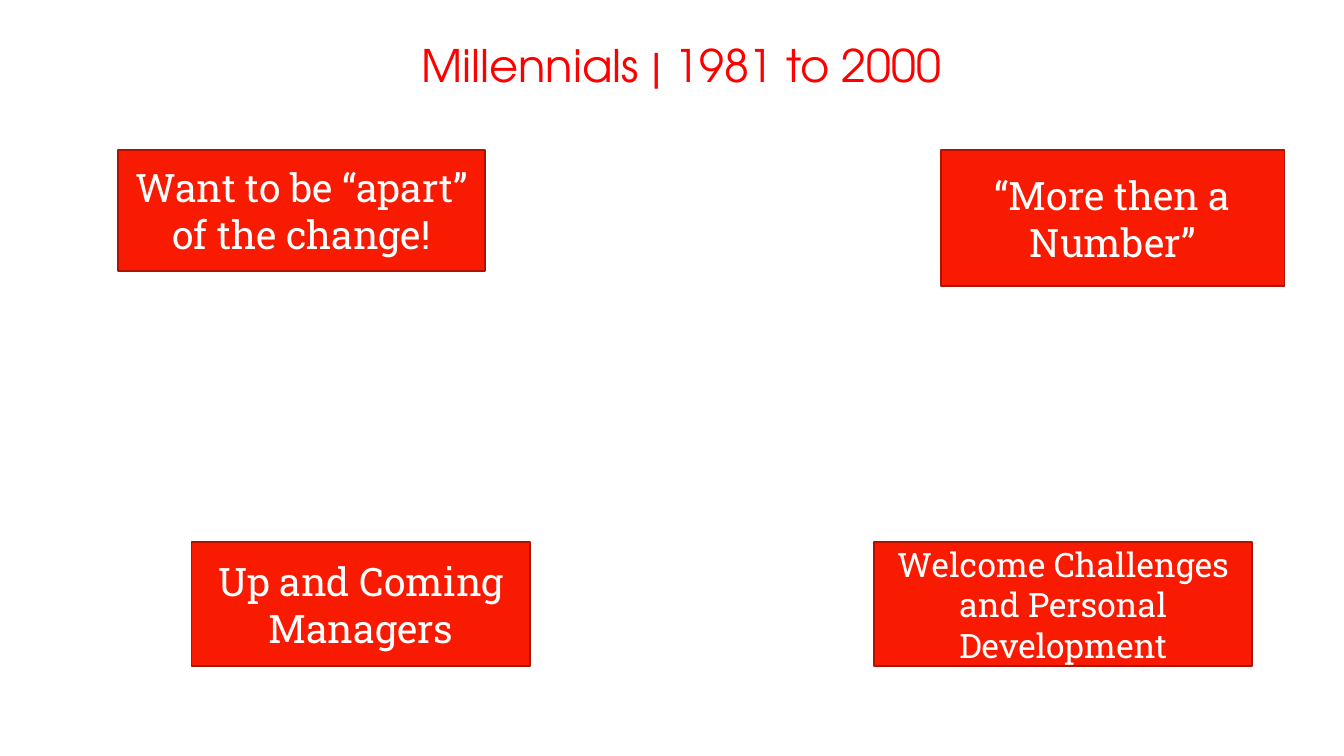
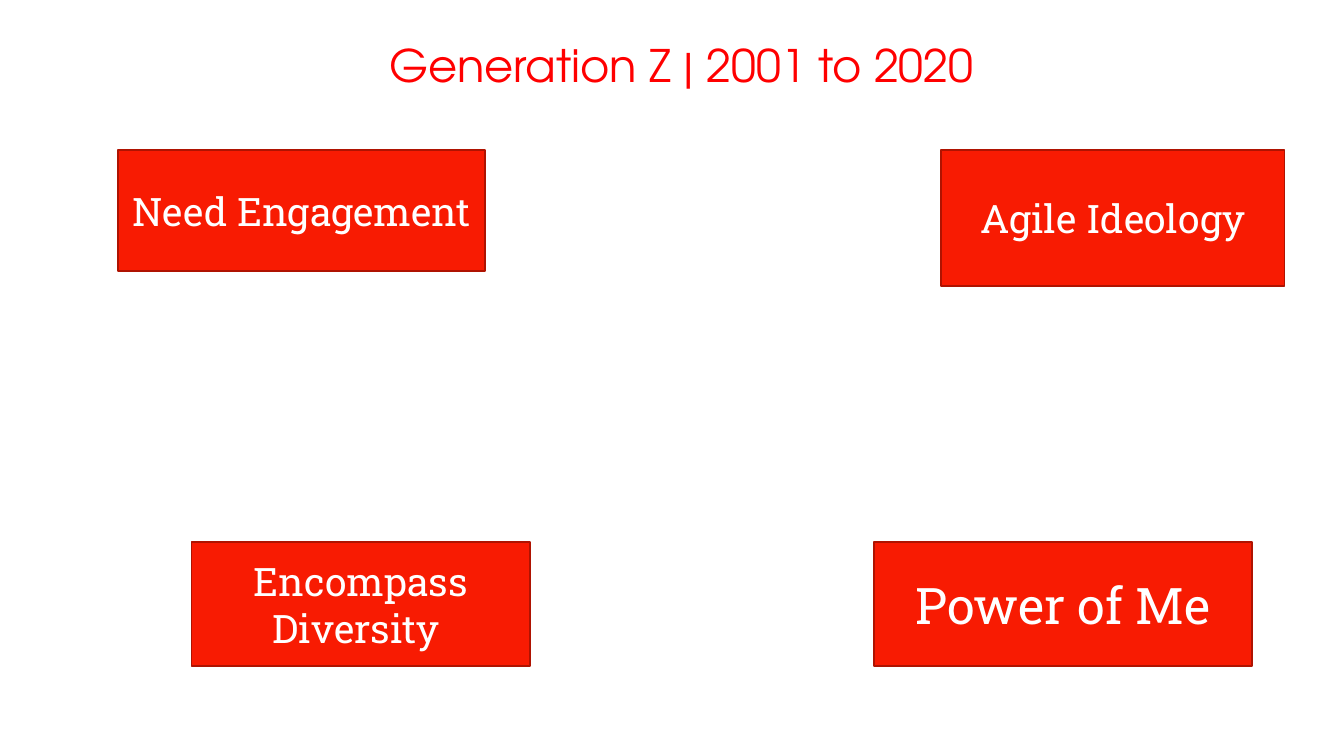
from pptx import Presentation
from pptx.dml.color import RGBColor
from pptx.enum.shapes import MSO_SHAPE
from pptx.enum.text import MSO_ANCHOR, MSO_AUTO_SIZE, PP_ALIGN
from pptx.util import Inches, Pt

RECTANGLE = MSO_SHAPE.RECTANGLE
MIDDLE = MSO_ANCHOR.MIDDLE
GROW = MSO_AUTO_SIZE.SHAPE_TO_FIT_TEXT
CENTER = PP_ALIGN.CENTER

COLORS = {name: RGBColor.from_string(value) for name, value in {
    "title": "FF0000",
    "card": "F81B02",
    "border": "AF1301",
    "card_text": "FFFFFF",
}.items()}

TITLE_FONT = {"name": "TeX Gyre Adventor", "size": Pt(32)}
CARD_FONT = {"name": "Roboto Slab"}

TITLE_BOX = (0.19, 0.33, 13.14, 0.64)
TOP_ROW, BOTTOM_ROW = 1.49, 5.38
CARD_BOXES = [
    (1.17, TOP_ROW, 3.64, 1.2),
    (8.67, BOTTOM_ROW, 3.75, 1.23),
    (9.33, TOP_ROW, 3.41, 1.35),
    (1.9, BOTTOM_ROW, 3.36, 1.23),
]

GENERATIONS = [
    ("Millennials | 1981 to 2000", [
        ("Want to be “apart” of the change!", 28),
        ("Welcome Challenges and Personal Development", 24),
        ("“More then a Number”", 28),
        ("Up and Coming Managers", 28),
    ]),
    ("Generation Z | 2001 to 2020", [
        ("Need Engagement", 28),
        ("Power of Me", 36),
        ("Agile Ideology", 28),
        ("Encompass Diversity ", 28),
    ]),
]


def write_centered(frame, text, color, font_format):
    frame.word_wrap = True
    paragraph = frame.paragraphs[0]
    paragraph.alignment = CENTER
    run = paragraph.add_run()
    run.text = text
    run.font.color.rgb = COLORS[color]
    for attribute, value in font_format.items():
        setattr(run.font, attribute, value)


deck = Presentation()
deck.slide_width = Inches(13.33)
deck.slide_height = Inches(7.5)
blank_layout = deck.slide_layouts[6]

for heading, traits in GENERATIONS:
    slide = deck.slides.add_slide(blank_layout)

    title = slide.shapes.add_textbox(*map(Inches, TITLE_BOX))
    write_centered(title.text_frame, heading, "title", TITLE_FONT)
    title.text_frame.auto_size = GROW

    for box, (trait, size) in zip(CARD_BOXES, traits):
        card = slide.shapes.add_shape(RECTANGLE, *map(Inches, box))
        card.shadow.inherit = False
        card.fill.solid()
        card.fill.fore_color.rgb = COLORS["card"]
        card.line.color.rgb = COLORS["border"]
        card.line.width = Pt(1.25)
        card.text_frame.vertical_anchor = MIDDLE
        write_centered(card.text_frame, trait, "card_text", {**CARD_FONT, "size": Pt(size)})

deck.save("out.pptx")
